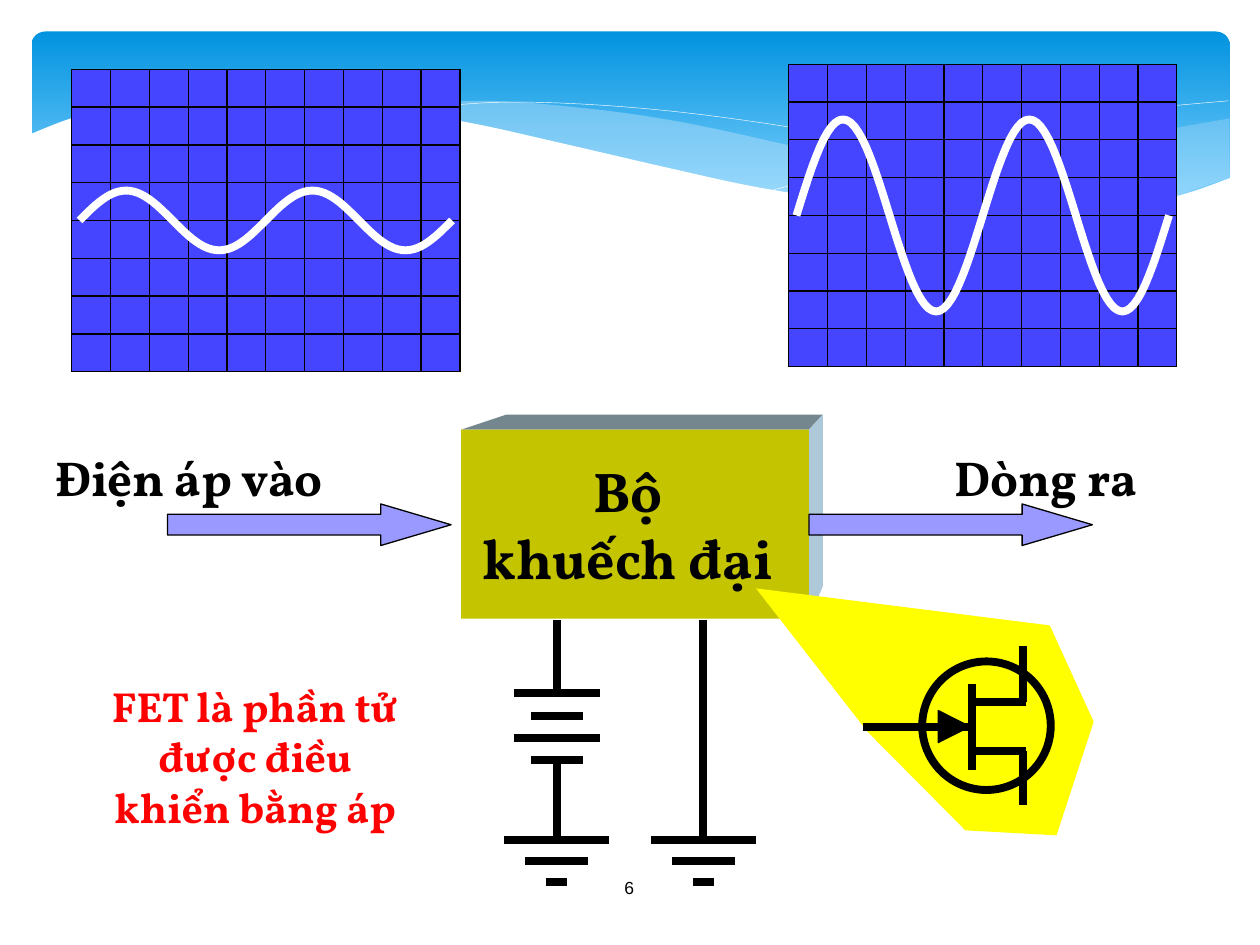
from dataclasses import dataclass
from math import pi, sin

from lxml.etree import SubElement
from pptx import Presentation
from pptx.dml.color import RGBColor
from pptx.enum.shapes import MSO_CONNECTOR, MSO_SHAPE
from pptx.enum.text import MSO_ANCHOR, PP_ALIGN
from pptx.oxml.ns import qn
from pptx.util import Inches, Pt

BLACK = RGBColor(0x00, 0x00, 0x00)
WHITE = RGBColor(0xFF, 0xFF, 0xFF)
RED = RGBColor(0xFF, 0x00, 0x00)
YELLOW = RGBColor(0xFF, 0xFF, 0x00)
SKY = RGBColor(0x02, 0x93, 0xE0)
LIGHT_SKY = RGBColor(0x83, 0xD3, 0xFE)
MIST = RGBColor(0xC6, 0xE7, 0xFC)
SCREEN = RGBColor(0x45, 0x45, 0xFF)
ARROW = RGBColor(0x99, 0x99, 0xFF)
OLIVE = RGBColor(0xC4, 0xC4, 0x00)
SLATE = RGBColor(0x74, 0x87, 0x8F)
PALE = RGBColor(0xAD, 0xC8, 0xD9)
THIN, THICK = 0.75, 4.5


@dataclass
class Box:
    """An area in inches, divided into columns and rows."""
    left: float
    top: float
    width: float
    height: float
    columns: float = 1
    rows: float = 1

    def point(self, column, row):
        return (Inches(self.left + self.width * column / self.columns),
                Inches(self.top + self.height * row / self.rows))

    def area(self, column, row, columns, rows):
        return Box(self.left + self.width * column / self.columns,
                   self.top + self.height * row / self.rows,
                   self.width * columns / self.columns,
                   self.height * rows / self.rows)

    def frame(self):
        return [Inches(n) for n in (self.left, self.top, self.width, self.height)]


def style(shape, fill=None, line=None, width=THIN):
    shape.shadow.inherit = False
    if fill is None:
        shape.fill.background()
    else:
        shape.fill.solid()
        shape.fill.fore_color.rgb = fill
    if line is None:
        shape.line.fill.background()
    else:
        shape.line.color.rgb = line
        shape.line.width = Pt(width)


def add_preset(slide, preset, box, fill=None, line=None, width=THIN):
    shape = slide.shapes.add_shape(preset, *box.frame())
    style(shape, fill, line, width)
    return shape


def add_line(slide, box, start, end, width=THICK):
    connector = slide.shapes.add_connector(
        MSO_CONNECTOR.STRAIGHT, *box.point(*start), *box.point(*end))
    connector.line.color.rgb = BLACK
    connector.line.width = Pt(width)
    SubElement(connector._element.spPr, qn("a:effectLst"))


def add_outline(slide, box, points, fill=None, line=None, width=THIN, opacity=None):
    """Draw a filled polygon, or an open line when there is no fill."""
    first, *others = [box.point(*point) for point in points]
    builder = slide.shapes.build_freeform(*first)
    builder.add_line_segments(others, close=fill is not None)
    shape = builder.convert_to_shape()
    style(shape, fill, line, width)
    if opacity is not None:
        color = shape._element.spPr.find(qn("a:solidFill"))[0]
        SubElement(color, qn("a:alpha")).set("val", str(opacity * 1000))


def smooth(points, steps=6):
    """Return a Catmull-Rom curve through the points."""
    padded = [points[0], *points, points[-1]]
    curve = [points[0]]
    for a, b, c, d in zip(padded, padded[1:], padded[2:], padded[3:]):
        for step in range(1, steps + 1):
            t = step / steps
            curve.append(tuple(
                (2 * q + (r - p) * t + (2 * p - 5 * q + 4 * r - s) * t ** 2
                 + (3 * q - p - 3 * r + s) * t ** 3) / 2
                for p, q, r, s in zip(a, b, c, d)))
    return curve


def add_text(slide, box, lines, size, color=BLACK, font="Vollkorn", bold=True,
             align=PP_ALIGN.CENTER, wrap=True, anchor=MSO_ANCHOR.TOP):
    frame = slide.shapes.add_textbox(*box.frame()).text_frame
    frame.word_wrap = wrap
    frame.vertical_anchor = anchor
    for index, line in enumerate(lines):
        paragraph = frame.add_paragraph() if index else frame.paragraphs[0]
        paragraph.alignment = align
        run = paragraph.add_run()
        run.text = line
        run.font.name, run.font.size, run.font.bold = font, Pt(size), bold
        run.font.color.rgb = color


def add_header(slide, box):
    band = add_preset(slide, MSO_SHAPE.ROUNDED_RECTANGLE,
                      box.area(0.25, 0.25, 9.51, 1.56))
    band.adjustments[0] = 0.07
    band.fill.gradient()
    band.fill.gradient_angle = 270
    for stop, color, position in zip(band.fill.gradient_stops, (SKY, LIGHT_SKY), (0, 0.9)):
        stop.color.rgb = color
        stop.position = position

    right_top = [(9.76, 0.94), (9.21, 1.04), (8.61, 1.18), (7.53, 1.43), (6.61, 1.6)]
    right_bottom = [(6.61, 1.6), (7.32, 1.68), (8.14, 1.72), (8.97, 1.65), (9.76, 1.41)]
    add_outline(slide, box, smooth(right_top) + smooth(right_bottom), MIST, opacity=29)

    middle_top = [(8.93, 1.67), (8.07, 1.54), (7.06, 1.34), (6.29, 1.16), (5.41, 0.97),
                  (4.65, 0.86), (3.8, 0.8), (2.86, 0.86)]
    middle_bottom = [(2.86, 0.86), (3.62, 0.97), (4.49, 1.16), (5.66, 1.43),
                     (6.5, 1.58), (7.36, 1.69), (8.18, 1.73), (8.93, 1.67)]
    add_outline(slide, box, smooth(middle_top) + smooth(middle_bottom), MIST, opacity=40)

    for thread in (
        [(3.09, 0.9), (3.53, 0.84), (4.16, 0.81), (5.1, 0.86), (6.08, 0.98),
         (6.95, 1.14), (7.95, 1.36), (9.07, 1.66)],
        [(6.13, 1.51), (6.95, 1.3), (8.06, 1.04), (8.95, 0.88), (9.75, 0.8)],
    ):
        add_outline(slide, box, smooth(thread), line=WHITE, width=0.25)

    wave = [(0.23, 1.07), (0.67, 0.91), (1.32, 0.81), (1.93, 0.78), (2.71, 0.82),
            (3.65, 0.96), (4.47, 1.14), (5.29, 1.33), (6.03, 1.49), (6.88, 1.62),
            (7.61, 1.7), (8.23, 1.71), (8.87, 1.66), (9.4, 1.54), (9.77, 1.41)]
    add_outline(slide, box, smooth(wave) + [(9.77, 2.24), (0.23, 2.24)], WHITE)


def add_oscilloscope(slide, box, amplitude):
    """Draw a screen with two sine periods; the amplitude is in rows."""
    add_preset(slide, MSO_SHAPE.RECTANGLE, box, SCREEN, BLACK)
    for column in range(box.columns + 1):
        add_line(slide, box, (column, 0), (column, box.rows), THIN)
    for row in range(box.rows + 1):
        add_line(slide, box, (0, row), (box.columns, row), THIN)
    samples = 96
    margin = 0.2
    span = box.columns - 2 * margin
    signal = [(margin + span * i / samples,
               box.rows / 2 - amplitude * sin(4 * pi * i / samples))
              for i in range(samples + 1)]
    add_outline(slide, box, signal, line=WHITE, width=THICK)


def add_amplifier(slide, box):
    add_outline(slide, box, [(0, 0), (0.13, -0.08), (1.04, -0.08), (1, 0)], SLATE)
    add_outline(slide, box, [(1, 0), (1.04, -0.08), (1.04, 0.83), (1, 1)], PALE)
    add_preset(slide, MSO_SHAPE.RECTANGLE, box, OLIVE)


def add_signal_arrow(slide, box):
    arrow = add_preset(slide, MSO_SHAPE.RIGHT_ARROW, box, ARROW, BLACK)
    arrow.adjustments[0], arrow.adjustments[1] = 0.5, 1.69


def add_ground(slide, box):
    for row, inset in enumerate((0, 0.2, 0.4)):
        add_line(slide, box, (inset, row / 2), (1 - inset, row / 2))


def add_supply(slide, box):
    """Draw the battery and the two ground leads under the amplifier."""
    battery = box.area(0.04, 0.28, 0.34, 0.255)
    for row in range(4):
        inset = 0.2 * (row % 2)
        add_line(slide, battery, (inset, row / 3), (1 - inset, row / 3))
    for column, start, end in ((0.21, 0, 0.28), (0.21, 0.55, 0.84), (0.79, 0, 0.84)):
        add_line(slide, box, (column, start), (column, end))
    for column in (0, 0.585):
        add_ground(slide, box.area(column, 0.84, 0.415, 0.16))


def add_transistor(slide, box):
    add_line(slide, box, (0.58, 0.24), (0.58, 0.78))
    add_preset(slide, MSO_SHAPE.OVAL, box.area(0.315, 0.095, 0.685, 0.81),
               line=BLACK, width=THICK)
    add_line(slide, box, (0, 0.51), (0.57, 0.51))
    gate = add_preset(slide, MSO_SHAPE.ISOSCELES_TRIANGLE,
                      box.area(0.4, 0.405, 0.17, 0.2), BLACK, BLACK)
    gate.rotation = 90
    for row, end in ((0.35, 0), (0.66, 1)):
        add_line(slide, box, (0.58, row), (0.87, row))
        add_line(slide, box, (0.85, row), (0.85, end))


def main():
    presentation = Presentation()
    presentation.slide_width, presentation.slide_height = Inches(10), Inches(7.5)
    slide = presentation.slides.add_slide(presentation.slide_layouts[6])
    page = Box(0, 0, 10, 7.5, 10, 7.5)

    add_header(slide, page)
    add_oscilloscope(slide, Box(6.26, 0.51, 3.08, 2.4, 10, 8), 2.54)
    add_oscilloscope(slide, Box(0.57, 0.55, 3.08, 2.4, 10, 8), 0.79)
    add_amplifier(slide, page.area(3.66, 3.41, 2.76, 1.5))
    add_supply(slide, page.area(4, 4.92, 2, 2.08))
    for label, left, width, arrow_left in (("Dòng ra", 7.48, 1.67, 6.42),
                                           ("Điện áp vào", 0.34, 2.35, 1.33)):
        add_signal_arrow(slide, page.area(arrow_left, 4, 2.25, 0.33))
        add_text(slide, page.area(left, 3.5, width, 0.57), [label], 28,
                 align=PP_ALIGN.LEFT, wrap=False)
    callout = [(0, 0), (0.33, 0.58), (0.62, 0.98), (0.89, 1), (1, 0.54), (0.87, 0.15)]
    add_outline(slide, page.area(6, 4.67, 2.68, 1.96), callout, YELLOW)
    add_text(slide, page.area(3.71, 3.57, 2.55, 1.18), ["Bộ", "khuếch đại"], 32, wrap=False)
    add_text(slide, page.area(0.71, 5.35, 2.63, 1.31),
             ["FET là phần tử được điều khiển bằng áp"], 24, RED)
    add_transistor(slide, page.area(6.85, 5.13, 1.49, 1.26))
    add_text(slide, page.area(4.36, 6.84, 1.27, 0.4), ["6"], 10, font="Arial",
             bold=False, anchor=MSO_ANCHOR.MIDDLE)
    presentation.save("out.pptx")


if __name__ == "__main__":
    main()
